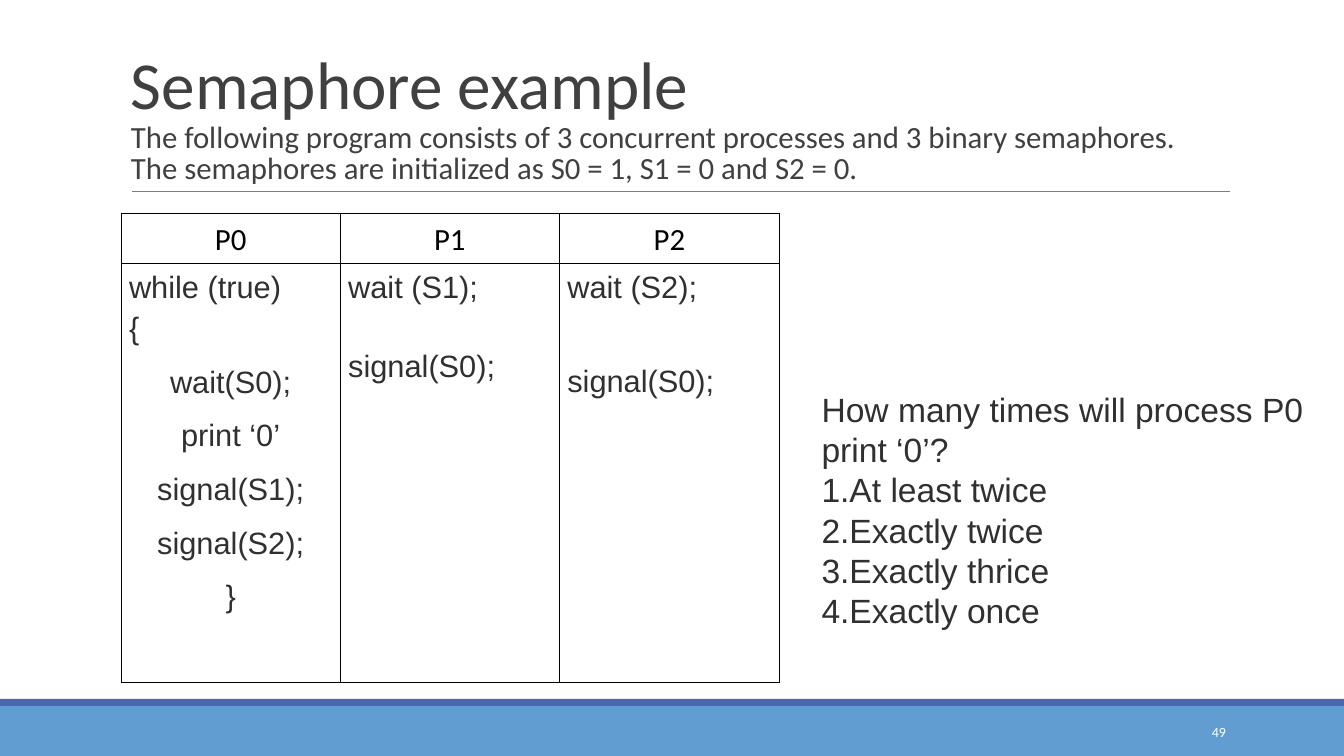
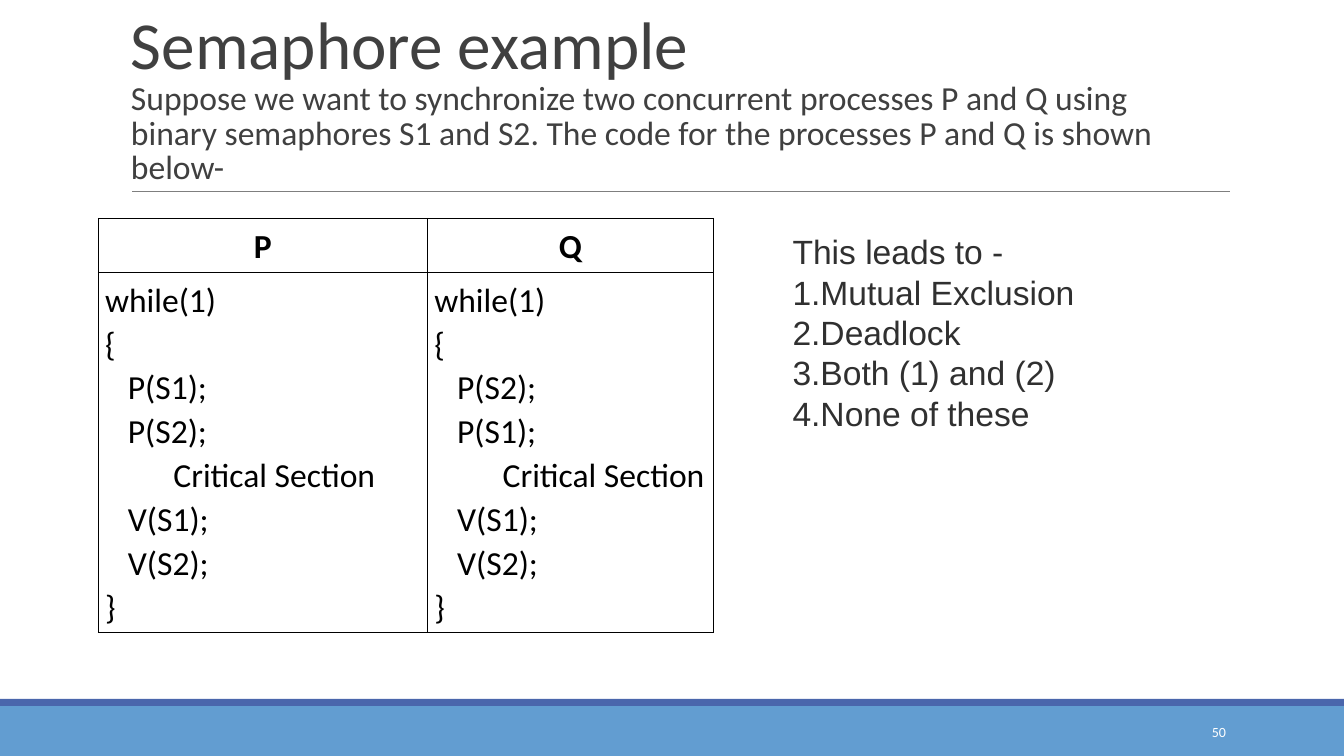
from pptx import Presentation
from pptx.dml.color import RGBColor as RGB
from pptx.enum.shapes import MSO_CONNECTOR as LINK, MSO_SHAPE as SHAPE
from pptx.enum.text import MSO_ANCHOR as ANCHOR, PP_ALIGN as ALIGN
from pptx.oxml import parse_xml
from pptx.oxml.ns import nsdecls
from pptx.util import Emu, Pt

PX = 9080  # EMU in one px
BLUE = RGB(0x62, 0x9D, 0xD1)
INDIGO = RGB(0x4A, 0x66, 0xAC)
GREY = RGB(0x7F, 0x7F, 0x7F)
DARK = RGB(0x40, 0x40, 0x40)
INK = RGB(0x30, 0x30, 0x30)
BLACK = RGB(0, 0, 0)
WHITE = RGB(0xFF, 0xFF, 0xFF)
LEFT, MID, RIGHT = ALIGN.LEFT, ALIGN.CENTER, ALIGN.RIGHT

# Text formats
HEAD = {"name": "Calibri", "size": Pt(48), "color": DARK}
PAGE = {"name": "Calibri", "size": Pt(10), "color": WHITE}
QUIZ = {"name": "Arial", "size": Pt(24), "color": INK}
COL = {"name": "Calibri", "size": Pt(22), "color": BLACK}
CODE = {"name": "Arial", "size": Pt(22), "color": INK}
BOLD = {"name": "Calibri", "size": Pt(24), "color": BLACK, "bold": True}
BODY = BOLD | {"bold": False}


def write(para, text, fmt):
    run = para.add_run()
    run.text = text
    for key, val in fmt.items():
        if key == "color":
            run.font.color.rgb = val
        else:
            setattr(run.font, key, val)


def box(slide, at, anchor=ANCHOR.TOP):
    frame = slide.shapes.add_textbox(*[Emu(n * PX) for n in at]).text_frame
    frame.word_wrap = True
    frame.vertical_anchor = anchor
    return frame


# Code lines: text, alignment, points of space before
LOOP = [("while (true)", LEFT, 0), ("{", LEFT, 3)] + [
    (text, MID, 12)
    for text in ("wait(S0);", "print ‘0’", "signal(S1);", "signal(S2);", "}")]
PAIR = [[(f"wait (S{n});", LEFT, 0), ("signal(S0);", LEFT, gap)]
        for n, gap in ((1, 30), (2, 41))]
LOCKS = [[(text, LEFT, 0) for text in (
    "while(1)", "{", f"   P(S{a});", f"   P(S{b});",
    "         Critical Section", "   V(S1);", "   V(S2);", "}")]
    for a, b in ((1, 2), (2, 1))]

PAGES = [
    {"num": "49", "size": 22,
     "lead": "The following program consists of 3 concurrent processes and "
             "3 binary semaphores. The semaphores are initialized as "
             "S0 = 1, S1 = 0 and S2 = 0.",
     "at": (121, 213), "cols": (219, 219, 220), "rows": (50, 418), "pad": 8,
     "names": ("P0", "P1", "P2"), "code": [LOOP] + PAIR,
     "fmts": (COL, CODE),
     "quiz": (811, 383, 533, 252),
     "ask": "How many times will process P0 print ‘0’?",
     "picks": ("At least twice", "Exactly twice", "Exactly thrice",
               "Exactly once")},
    {"num": "50", "size": 24,
     "lead": "Suppose we want to synchronize two concurrent processes P and Q "
             "using binary semaphores S1 and S2. The code for the processes "
             "P and Q is shown below-",
     "at": (98, 218), "cols": (329, 286), "rows": (54, 359), "pad": 7,
     "names": ("P", "Q"), "code": LOCKS,
     "fmts": (BOLD, BODY),
     "quiz": (782, 226, 533, 211),
     "ask": "This leads to -",
     "picks": ("Mutual Exclusion", "Deadlock", "Both (1) and (2)",
               "None of these")},
]

deck = Presentation()
deck.slide_width, deck.slide_height = Emu(1343 * PX), Emu(755 * PX)

for page in PAGES:
    slide = deck.slides.add_slide(deck.slide_layouts[6])

    # Bands and rule
    for top, high, tint in ((705, 50, BLUE), (698, 7, INDIGO)):
        band = slide.shapes.add_shape(
            SHAPE.RECTANGLE, 0, Emu(top * PX), deck.slide_width, Emu(high * PX))
        band.shadow.inherit = False
        band.fill.solid()
        band.fill.fore_color.rgb = tint
        band.line.fill.background()
    rule = slide.shapes.add_connector(
        LINK.STRAIGHT, *[Emu(n * PX) for n in (132, 191, 1229, 191)])
    rule.line.color.rgb = GREY
    rule.line.width = Pt(0.5)
    rule._element.spPr.append(parse_xml(f"<a:effectLst {nsdecls('a')}/>"))

    # Title and page number
    para = box(slide, (121, 31, 1108, 160), ANCHOR.BOTTOM).paragraphs[0]
    para.line_spacing = 0.85
    write(para, "Semaphore example", HEAD)
    para.add_line_break()
    write(para, page["lead"], HEAD | {"size": Pt(page["size"])})
    para = box(slide, (1091, 711, 144, 40), ANCHOR.MIDDLE).paragraphs[0]
    para.alignment = RIGHT
    write(para, page["num"], PAGE)

    # Code table
    cols, rows = page["cols"], page["rows"]
    area = (*page["at"], sum(cols), sum(rows))
    table = slide.shapes.add_table(
        len(rows), len(cols), *[Emu(n * PX) for n in area]).table
    table.first_row = table.horz_banding = False
    for col, wide in zip(table.columns, cols):
        col.width = Emu(wide * PX)
    for row, high in zip(table.rows, rows):
        row.height = Emu(high * PX)
    heads = [[(name, MID, 0)] for name in page["names"]]
    for r, (texts, fmt) in enumerate(zip((heads, page["code"]), page["fmts"])):
        for c, lines in enumerate(texts):
            cell = table.cell(r, c)
            cell.margin_left = cell.margin_right = Emu(page["pad"] * PX)
            props = cell._tc.get_or_add_tcPr()
            for side in "LRTB":
                props.append(parse_xml(
                    f'<a:ln{side} {nsdecls("a")} w="{Pt(0.45)}"><a:solidFill>'
                    f'<a:srgbClr val="{BLACK}"/></a:solidFill></a:ln{side}>'))
            cell.fill.background()
            frame = cell.text_frame
            for i, (text, align, gap) in enumerate(lines):
                para = frame.add_paragraph() if i else frame.paragraphs[0]
                para.alignment = align
                para.line_spacing = 1.07
                if gap:
                    para.space_before = Pt(gap)
                write(para, text, fmt)

    # Question and numbered answers
    frame = box(slide, page["quiz"])
    write(frame.paragraphs[0], page["ask"], QUIZ)
    for pick in page["picks"]:
        para = frame.add_paragraph()
        props = para._p.get_or_add_pPr()
        props.set("marL", "0")
        props.set("indent", "0")
        for mark in ('buFont {} typeface="Arial"',
                     'buAutoNum {} type="arabicPeriod"'):
            props.append(parse_xml(f"<a:{mark.format(nsdecls('a'))}/>"))
        write(para, pick, QUIZ)

deck.save("out.pptx")
